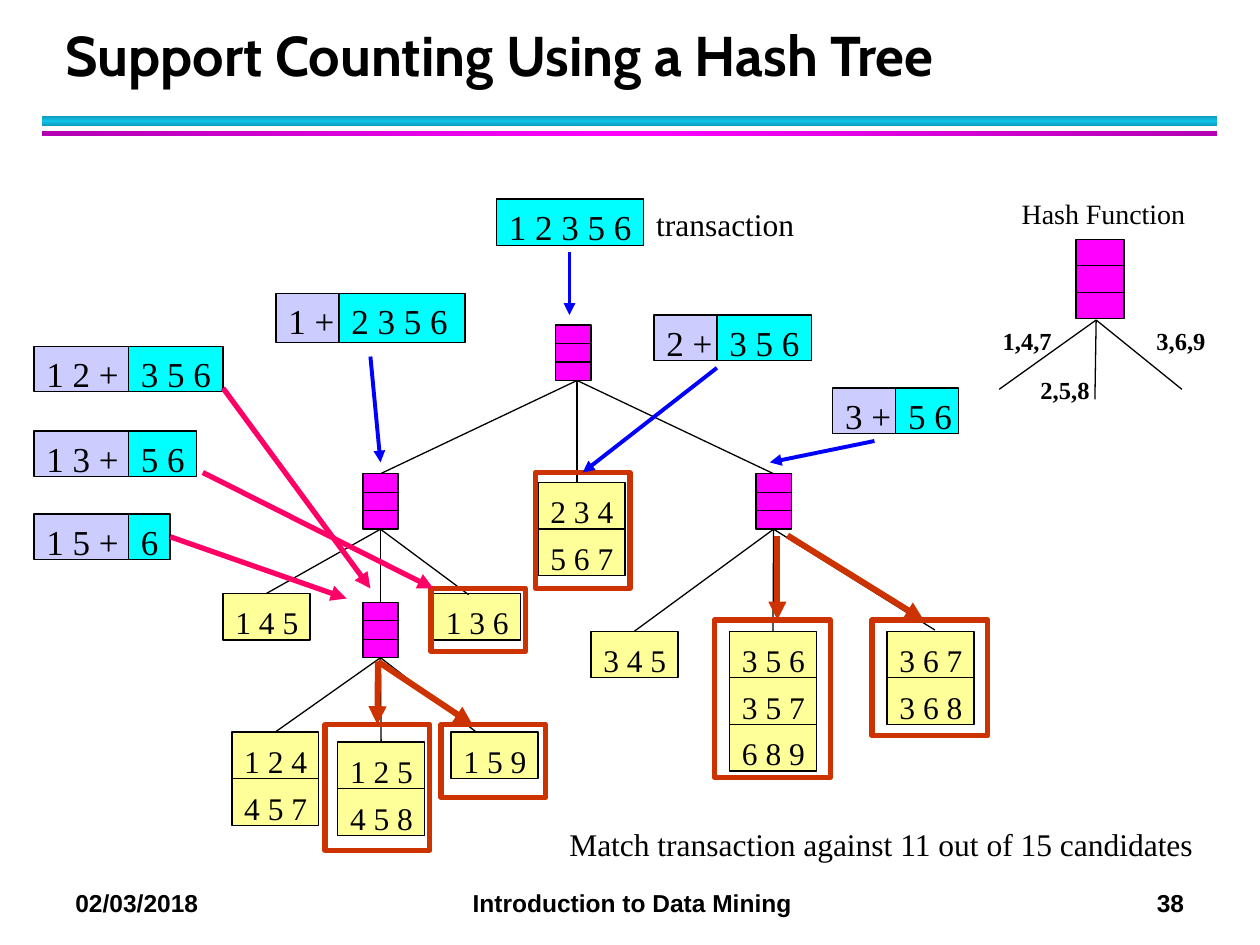
from copy import deepcopy

from lxml import etree
from pptx import Presentation
from pptx.dml.color import RGBColor
from pptx.enum import shapes, text
from pptx.oxml import ns
from pptx.util import Inches, Pt

BLACK = RGBColor(0x00, 0x00, 0x00)
TEAL = RGBColor(0x0E, 0x9B, 0xBA)
SKY = RGBColor(0x12, 0xC2, 0xE9)
PURPLE = RGBColor(0xB2, 0x00, 0xB2)
MAGENTA = RGBColor(0xFF, 0x00, 0xFF)
YELLOW = RGBColor(0xFF, 0xFF, 0x99)
CYAN = RGBColor(0x00, 0xFF, 0xFF)
LAVENDER = RGBColor(0xCC, 0xCC, 0xFF)
BLUE = RGBColor(0x00, 0x00, 0xFF)
PINK = RGBColor(0xFF, 0x00, 0x66)
RUST = RGBColor(0xCC, 0x33, 0x00)

SERIF = "Times New Roman"
CHAR_WIDTHS = {" ": 0.25, ",": 0.25, "+": 0.56}
LEAF_W, LEAF_H = 0.69, 0.37
NODE_W, NODE_H = 0.28, 0.44
TOLERANCE = 0.021

NODES = [(4.41, 2.58), (2.88, 3.76), (6, 3.76), (2.88, 4.78)]
LEAVES = [
    (1.77, 4.71, ["1 4 5"]),
    (3.44, 4.71, ["1 3 6"]),
    (4.27, 3.83, ["2 3 4", "5 6 7"]),
    (4.69, 5.01, ["3 4 5"]),
    (5.79, 5.01, ["3 5 6", "3 5 7", "6 8 9"]),
    (7.04, 5.01, ["3 6 7", "3 6 8"]),
    (1.84, 5.81, ["1 2 4", "4 5 7"]),
    (2.68, 5.89, ["1 2 5", "4 5 8"]),
    (3.58, 5.81, ["1 5 9"]),
]
BRANCHES = [
    ((4.58, 3.02), [(3.02, 3.76), (4.58, 3.83), (6.14, 3.76)]),
    ((3.01, 4.2), [(2.12, 4.72), (3.01, 4.78), (3.72, 4.72)]),
    ((6.14, 4.2), [(5.03, 5.01), (6.14, 5.01), (7.42, 5)]),
    ((3.02, 5.23), [(2.19, 5.81), (3.02, 5.89), (3.78, 5.81)]),
    ((8.7, 2.54), [(7.93, 3.09), (8.69, 3.17), (9.38, 3.09)]),
]
SPLITS = [
    (0.27, 2.75, 0.36, "1 2 +", 0.75, "3 5 6", 0.75),
    (0.27, 3.42, 0.36, "1 3 +", 0.75, "5 6", 0.54),
    (0.27, 4.08, 0.36, "1 5 +", 0.75, "6", 0.33),
    (5.19, 2.5, 0.36, "2 +", 0.5, "3 5 6", 0.75),
    (6.61, 3.08, 0.36, "3 +", 0.5, "5 6", 0.5),
    (2.19, 2.33, 0.39, "1 +", 0.5, "2 3 5 6", 1),
]
FRAMES = [
    (2.58, 5.75, 0.83, 1), (3.5, 5.75, 0.83, 0.58), (4.25, 3.75, 0.75, 0.92),
    (3.42, 4.67, 0.75, 0.5), (5.67, 4.92, 0.92, 1.25), (6.92, 4.92, 0.92, 0.92),
]
ARROWS = [
    (BLUE, 2.25, [((4.52, 2), (4.52, 2.5)), ((2.94, 2.83), (3.02, 3.67)),
                  ((5.69, 2.92), (4.61, 3.75)), ((6.94, 3.5), (6.11, 3.67))]),
    (PINK, 3, [((1.77, 3.08), (2.94, 4.67)), ((1.33, 4.25), (2.75, 4.75)),
               ((1.61, 3.75), (3.44, 4.67))]),
    (RUST, 3.5, [((3, 5.25), (3, 5.75)), ((3, 5.25), (3.75, 5.75)),
                 ((6.17, 4.25), (6.17, 4.92)), ((6.25, 4.25), (7.33, 4.92))]),
]


def apply(obj, values):
    for name, value in values.items():
        setattr(obj, name, value)


def font(r, size, name=SERIF, bold=False):
    apply(r.font, {"size": Pt(size), "name": name, "bold": bold})
    r.font.color.rgb = BLACK


def rect(s, x, y, w, h, fill=None, line=BLACK, width=0.75):
    sp = s.shapes.add_shape(shapes.MSO_SHAPE.RECTANGLE, *map(Inches, (x, y, w, h)))
    sp.shadow.inherit = False
    if fill is None:
        sp.fill.background()
    else:
        sp.fill.solid()
        sp.fill.fore_color.rgb = fill
    sp.line.color.rgb = line
    sp.line.width = Pt(width)
    return sp


def bar(s, y, h, edge, middle, angle):
    sp = rect(s, 0.33, y, 9.33, h)
    sp.line.fill.background()
    sp.fill.gradient()
    sp.fill.gradient_angle = angle
    stops = sp.element.find(".//" + ns.qn("a:gsLst"))
    stops.append(deepcopy(stops[-1]))
    for stop, position, color in zip(sp.fill.gradient_stops, (0, 0.5, 1), (edge, middle, edge)):
        stop.position = position
        stop.color.rgb = color


def label(s, x, y, words, size, w=None, name=SERIF, bold=False, wrap=False):
    if w is None:
        w = 0.2 + size / 72 * sum(CHAR_WIDTHS.get(c, 0.5) for c in words)
    sp = s.shapes.add_textbox(*map(Inches, (x, y, w, 0.1 + size / 60)))
    tf = sp.text_frame
    apply(tf, {"word_wrap": wrap, "auto_size": text.MSO_AUTO_SIZE.SHAPE_TO_FIT_TEXT})
    p = tf.paragraphs[0]
    p.space_before = Pt(2)
    r = p.add_run()
    r.text = words
    font(r, size, name, bold)
    return p


def sides(sp):
    x, y, w, h = (v / Inches(1) for v in (sp.left, sp.top, sp.width, sp.height))
    return [(x + w / 2, y), (x, y + h / 2), (x + w / 2, y + h), (x + w, y + h / 2)]


def join(connect, point, rects):
    for sp in rects:
        for i, (x, y) in enumerate(sides(sp)):
            if max(abs(x - point[0]), abs(y - point[1])) <= TOLERANCE:
                connect(sp, i)
                return


def line(s, start, end, color=BLACK, width=0.75, arrow=False, rects=()):
    c = s.shapes.add_connector(shapes.MSO_CONNECTOR.STRAIGHT, *map(Inches, start + end))
    c.line.color.rgb = color
    c.line.width = Pt(width)
    sp_pr = c.element.spPr
    if arrow:
        etree.SubElement(sp_pr.find(ns.qn("a:ln")), ns.qn("a:tailEnd"), type="triangle")
    etree.SubElement(sp_pr, ns.qn("a:effectLst"))
    join(c.begin_connect, start, rects)
    join(c.end_connect, end, rects)


def node(s, x, y, w=NODE_W, h=NODE_H):
    sp = rect(s, x, y, w, h, MAGENTA)
    for i in (1, 2):
        line(s, (x, y + h * i / 3), (x + w, y + h * i / 3))
    return sp


def leaf(s, x, y, rows):
    cells = []
    for i, words in enumerate(rows):
        top = y + i * LEAF_H
        cells.append(rect(s, x, top, LEAF_W, LEAF_H, YELLOW))
        label(s, x, top + 0.03, words, 18)
    return cells


def item_box(s, x, y, w, h, words, fill):
    sp = rect(s, x, y, w, h, fill)
    label(s, x, y, words, 20)
    return sp


def split(s, x, y, h, prefix, prefix_w, rest, rest_w):
    return [item_box(s, x, y, prefix_w, h, prefix, LAVENDER),
            item_box(s, x + prefix_w, y, rest_w, h, rest, CYAN)]


def title(s):
    sp = s.shapes.title
    apply(sp, {"left": Inches(0.42), "top": Inches(0.17), "width": Inches(9.06), "height": Inches(0.58)})
    tf = sp.text_frame
    apply(tf, {"vertical_anchor": text.MSO_ANCHOR.BOTTOM, "word_wrap": True,
               "auto_size": text.MSO_AUTO_SIZE.NONE})
    p = tf.paragraphs[0]
    apply(p, {"alignment": text.PP_ALIGN.LEFT, "line_spacing": Pt(36)})
    r = p.add_run()
    r.text = "Support Counting Using a Hash Tree"
    font(r, 32, "Cabin", True)


def footer(s):
    p = label(s, 0.5, 7, "02/03/2018\tIntroduction to Data Mining\t38", 14, 9.33, "Arial", True, True)
    tabs = etree.SubElement(p._p.get_or_add_pPr(), ns.qn("a:tabLst"))
    for position, align in ((4.42, "ctr"), (8.8, "r")):
        etree.SubElement(tabs, ns.qn("a:tab"), pos=str(Inches(position)), algn=align)


def main():
    prs = Presentation()
    apply(prs, {"slide_width": Inches(10), "slide_height": Inches(7.5)})
    s = prs.slides.add_slide(prs.slide_layouts[5])
    bar(s, 0.92, 0.08, TEAL, SKY, 90)
    bar(s, 1.04, 0.04, PURPLE, MAGENTA, 0)
    footer(s)
    title(s)

    rects = [node(s, *spot) for spot in NODES]
    rects.append(node(s, 8.54, 1.9, 0.38, 0.63))
    for spot in LEAVES:
        rects += leaf(s, *spot)
    for start, ends in BRANCHES:
        for end in ends:
            line(s, start, end, rects=rects)

    label(s, 8.01, 1.51, "Hash Function", 16, 1.51)
    for x, y, words in ((7.86, 2.54, "1,4,7"), (8.16, 2.93, "2,5,8"), (9.08, 2.54, "3,6,9")):
        label(s, x, y, words, 14, bold=True)

    rects.append(item_box(s, 3.94, 1.58, 1.17, 0.37, "1 2 3 5 6", CYAN))
    label(s, 5.11, 1.58, "transaction", 18, 1.3)
    for spot in SPLITS:
        rects += split(s, *spot)
    rects += [rect(s, *spot, line=RUST, width=3) for spot in FRAMES]
    for color, width, routes in ARROWS:
        for start, end in routes:
            line(s, start, end, color, width, True, rects)
    label(s, 4.42, 6.5, "Match transaction against 11 out of 15 candidates", 18, 5.26, wrap=True)
    prs.save("out.pptx")


if __name__ == "__main__":
    main()
